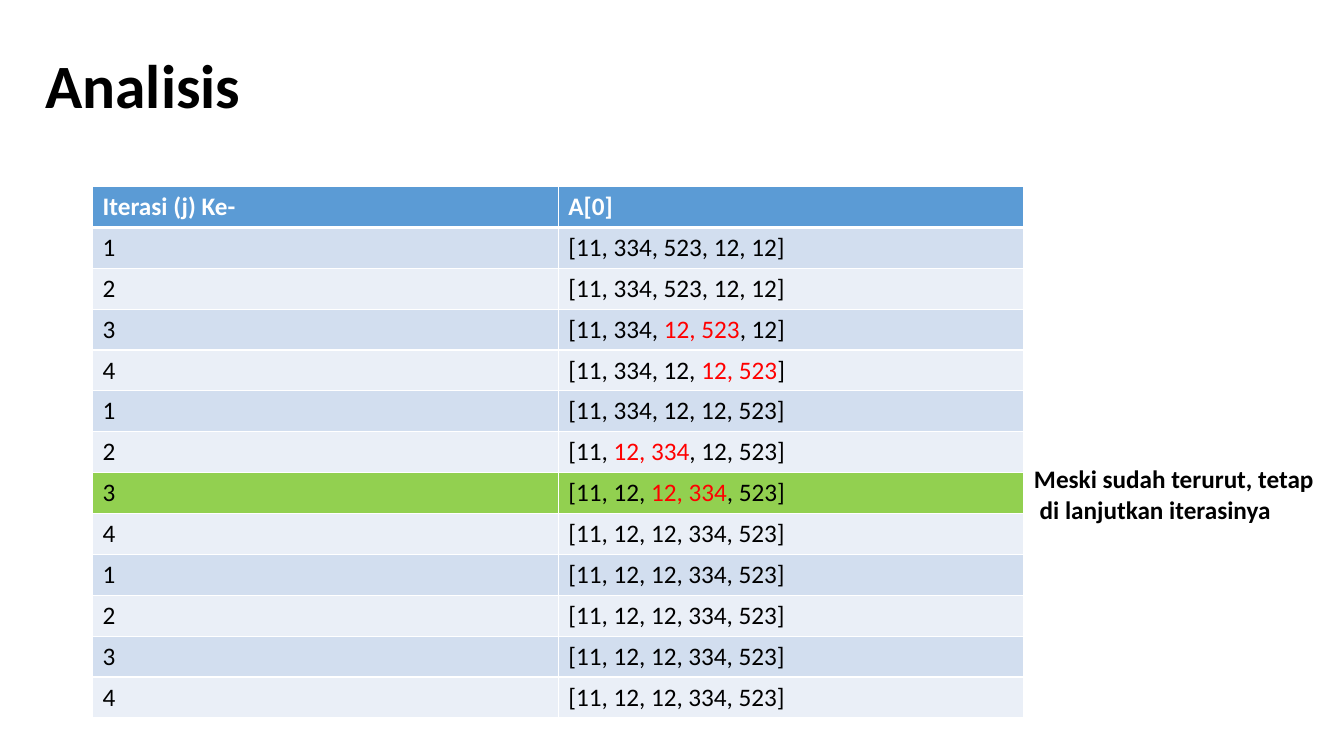
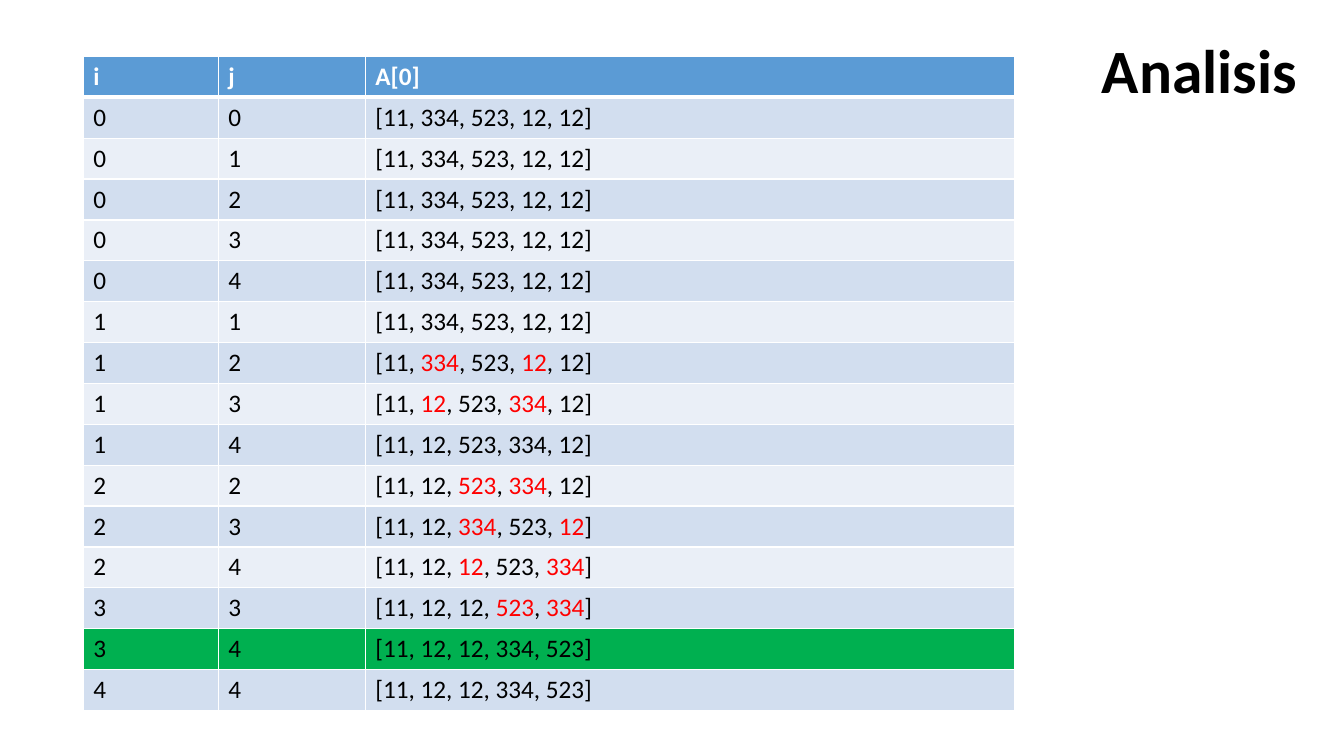
from dataclasses import dataclass

from lxml import etree
from pptx import Presentation
from pptx import util as u
from pptx.dml import color
from pptx.enum import text
from pptx.oxml import ns


@dataclass(frozen=True)
class Theme:
    font: str = "Calibri"
    title_size: float = 44
    body_size: float = 18
    ink: str = "000000"
    paper: str = "FFFFFF"
    header: str = "5B9BD5"
    bands: tuple = ("D2DEEF", "EAEFF7")
    swap: str = "FF0000"
    lime: str = "92D050"
    green: str = "00B050"
    row_height: float = 29.2
    rule: float = 1
    header_rule: float = 3


THEME = Theme()
TITLE_ONLY = 5
START = "[11, 334, 523, 12, 12]"
SORTED = "[11, 12, 12, 334, 523]"

BUBBLE_HEADER = ("Iterasi (j) Ke-", "A[0]")
BUBBLE_STEPS = (
    START,
    START,
    "[11, 334, *12, 523*, 12]",
    "[11, 334, 12, *12, 523*]",
    "[11, 334, 12, 12, 523]",
    "[11, *12, 334*, 12, 523]",
    "[11, 12, *12, 334*, 523]",
) + (SORTED,) * 5
BUBBLE_ROWS = [(str(n % 4 + 1), step) for n, step in enumerate(BUBBLE_STEPS)]

EXCHANGE_HEADER = ("i", "j", "A[0]")
EXCHANGE_STEPS = (START,) * 6 + (
    "[11, *334*, 523, *12*, 12]",
    "[11, *12*, 523, *334*, 12]",
    "[11, 12, 523, 334, 12]",
    "[11, 12, *523*, *334*, 12]",
    "[11, 12, *334*, 523, *12*]",
    "[11, 12, *12*, 523, *334*]",
    "[11, 12, 12, *523*, *334*]",
    SORTED,
    SORTED,
)
PAIRS = [(str(i), str(j)) for i in range(5) for j in range(i, 5)]
EXCHANGE_ROWS = [(*pair, step) for pair, step in zip(PAIRS, EXCHANGE_STEPS)]


def rgb(value):
    return color.RGBColor.from_string(value)


def write(paragraph, content, size, ink=THEME.ink, bold=False):
    """Set the paragraph's text; parts between asterisks take the swap colour."""
    paragraph.alignment = text.PP_ALIGN.LEFT
    font = paragraph.font
    font.name, font.size, font.bold = THEME.font, u.Pt(size), bold
    font.color.rgb = rgb(ink)
    for index, part in enumerate(content.split("*")):
        run = paragraph.add_run()
        run.text = part
        if index % 2:
            run.font.color.rgb = rgb(THEME.swap)


def add_title(slide, box, content):
    title = slide.shapes.title
    title.left, title.top, title.width, title.height = map(u.Pt, box)
    frame = title.text_frame
    frame.word_wrap = True
    frame.auto_size = text.MSO_AUTO_SIZE.NONE
    frame.vertical_anchor = text.MSO_ANCHOR.MIDDLE
    paragraph = frame.paragraphs[0]
    paragraph.line_spacing = 0.9
    write(paragraph, content, THEME.title_size, bold=True)


def set_borders(cell, top, bottom):
    properties = cell._tc.get_or_add_tcPr()
    sides = {"L": THEME.rule, "R": THEME.rule, "T": top, "B": bottom}
    for index, (side, width) in enumerate(sides.items()):
        line = etree.Element(ns.qn(f"a:ln{side}"), w=str(u.Pt(width)))
        fill = etree.SubElement(line, ns.qn("a:solidFill"))
        etree.SubElement(fill, ns.qn("a:srgbClr"), val=THEME.paper)
        properties.insert(index, line)


def add_trace(slide, left, top, widths, header, rows, done_row, done_fill):
    count = len(rows) + 1
    table = slide.shapes.add_table(
        count, len(header), u.Pt(left), u.Pt(top),
        u.Pt(sum(widths)), u.Pt(count * THEME.row_height),
    ).table
    for column, width in zip(table.columns, widths):
        column.width = u.Pt(width)
    for number, values in enumerate((header, *rows)):
        table.rows[number].height = u.Pt(THEME.row_height)
        is_header = number == 0
        fill = THEME.header if is_header else THEME.bands[(number - 1) % 2]
        if number == done_row:
            fill = done_fill
        for cell, value in zip(table.rows[number].cells, values):
            cell.fill.solid()
            cell.fill.fore_color.rgb = rgb(fill)
            set_borders(
                cell,
                THEME.header_rule if number == 1 else THEME.rule,
                THEME.header_rule if is_header else THEME.rule,
            )
            write(
                cell.text_frame.paragraphs[0], value, THEME.body_size,
                THEME.paper if is_header else THEME.ink, is_header,
            )


def add_note(slide, box, lines):
    frame = slide.shapes.add_textbox(*map(u.Pt, box)).text_frame
    frame.word_wrap = False
    frame.auto_size = text.MSO_AUTO_SIZE.SHAPE_TO_FIT_TEXT
    for index, line in enumerate(lines):
        paragraph = frame.add_paragraph() if index else frame.paragraphs[0]
        write(paragraph, line, THEME.body_size, bold=True)


def add_slide(presentation):
    return presentation.slides.add_slide(presentation.slide_layouts[TITLE_ONLY])


def bubble_slide(presentation):
    slide = add_slide(presentation)
    add_title(slide, (25.2, 10.8, 790.6, 104.4), "Analisis")
    add_trace(slide, 66.2, 133.2, (332.6, 332.6), BUBBLE_HEADER, BUBBLE_ROWS,
              7, THEME.lime)
    add_note(slide, (731.5, 327.6, 216, 51.1),
             ("Meski sudah terurut, tetap", " di lanjutkan iterasinya"))


def exchange_slide(presentation):
    slide = add_slide(presentation)
    add_title(slide, (779.8, 0, 192.2, 104.4), "Analisis")
    add_trace(slide, 59.4, 40.3, (96.5, 105.1, 463.6), EXCHANGE_HEADER,
              EXCHANGE_ROWS, 14, THEME.green)


def main():
    presentation = Presentation()
    presentation.slide_width, presentation.slide_height = u.Pt(960), u.Pt(540)
    bubble_slide(presentation)
    exchange_slide(presentation)
    presentation.save("out.pptx")


if __name__ == "__main__":
    main()
